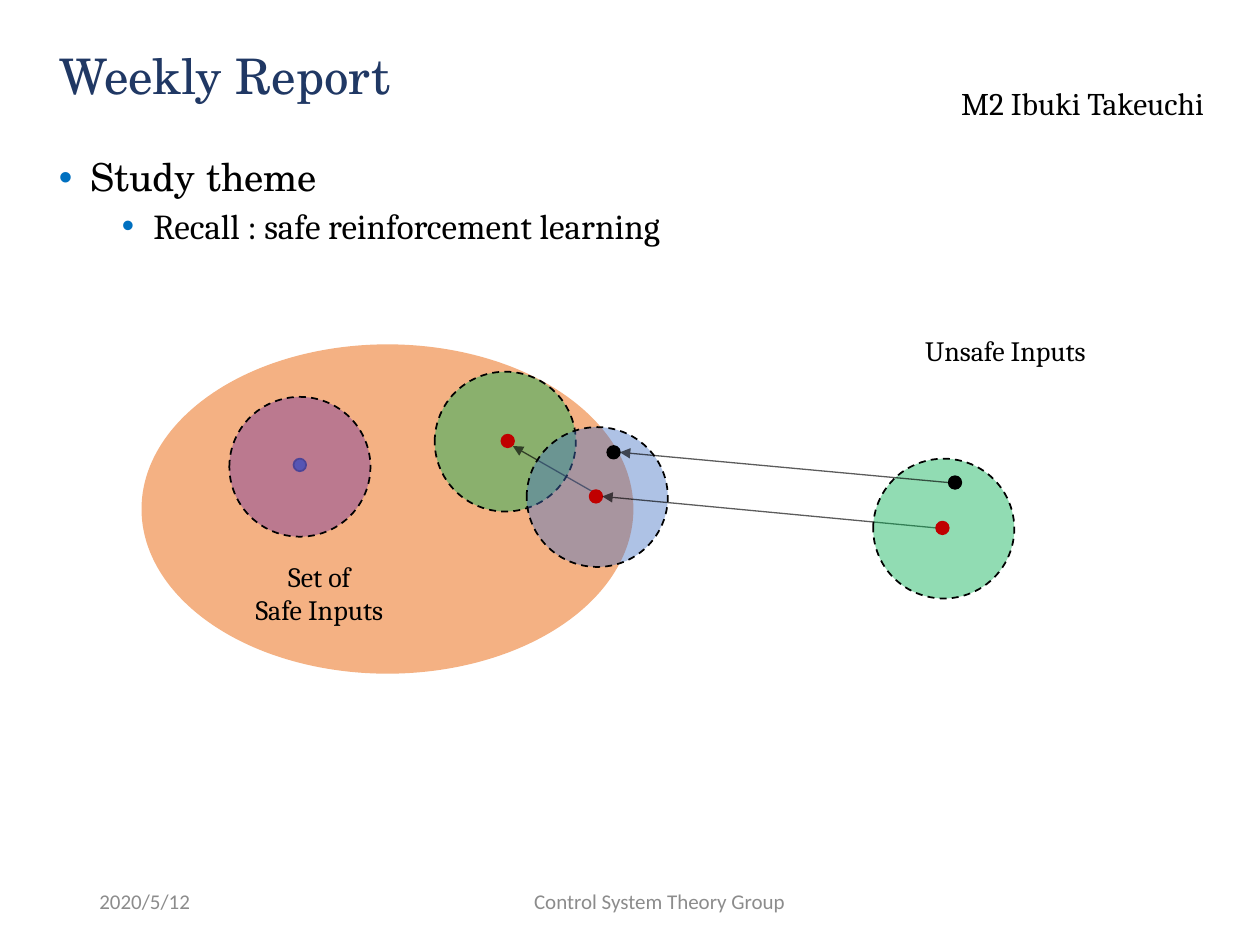
from lxml import etree
from pptx import Presentation
from pptx.dml.color import RGBColor
from pptx.enum.dml import MSO_LINE
from pptx.enum.shapes import MSO_CONNECTOR, MSO_SHAPE
from pptx.enum.text import MSO_ANCHOR, PP_ALIGN
from pptx.oxml.ns import qn
from pptx.util import Inches, Pt

LEFT, CENTER = PP_ALIGN.LEFT, PP_ALIGN.CENTER
TOP, MIDDLE = MSO_ANCHOR.TOP, MSO_ANCHOR.MIDDLE
ELLIPSE, STRAIGHT, DASH = MSO_SHAPE.OVAL, MSO_CONNECTOR.STRAIGHT, MSO_LINE.DASH
TITLE_ONLY = 5
SERIF, DISPLAY, SANS = "Cambria", "TeX Gyre Schola", "Calibri"
BLACK, RED, BLUE, GREEN, PURPLE = "000000", "C00000", "4472C4", "00B050", "7030A0"
ORANGE, NAVY, GREY, BULLET = "F4B183", "203864", "8C8C8C", "0070C0"
ZONE_WIDTH, ZONE_HEIGHT, DOT = 1.12, 1.11, 0.1


def color(value):
    """Turn a hex string into a colour."""
    return RGBColor.from_string(value)


def set_alpha(fill, percent):
    """Make a solid fill partly transparent."""
    node = fill._xPr.find(qn("a:solidFill"))[0]
    etree.SubElement(node, qn("a:alpha"), val=str(percent * 1000))


def format_para(para, text, size=16, font=SERIF, ink=BLACK, align=LEFT):
    """Write text into a paragraph with its format."""
    para.text = text
    para.alignment = align
    para.font.size = Pt(size)
    para.font.name = font
    para.font.color.rgb = color(ink)


def add_text(page, bounds, text, anchor=TOP, wrap=False, **style):
    """Add a text box with one paragraph per line of text."""
    box = page.shapes.add_textbox(*map(Inches, bounds))
    frame = box.text_frame
    frame.word_wrap = wrap
    frame.vertical_anchor = anchor
    for index, line in enumerate(text.split("\n")):
        para = frame.add_paragraph() if index else frame.paragraphs[0]
        format_para(para, line, **style)
    return box


def add_bullet(para, indent):
    """Give a paragraph a blue bullet with a hanging indent."""
    props = para._p.get_or_add_pPr()
    props.set("marL", str(Inches(indent)))
    props.set("indent", str(Inches(-0.25)))
    tint = etree.SubElement(props, qn("a:buClr"))
    etree.SubElement(tint, qn("a:srgbClr"), val=BULLET)
    etree.SubElement(props, qn("a:buFont"), typeface="Arial")
    etree.SubElement(props, qn("a:buChar"), char="•")


def add_ellipse(page, bounds, fill, line, alpha=None, dash=None):
    """Add an ellipse with a one-point outline."""
    shape = page.shapes.add_shape(ELLIPSE, *map(Inches, bounds))
    shape.shadow.inherit = False
    shape.fill.solid()
    shape.fill.fore_color.rgb = color(fill)
    shape.line.color.rgb = color(line)
    shape.line.width = Pt(1)
    if alpha:
        set_alpha(shape.fill, alpha)
    if dash:
        shape.line.dash_style = dash


def add_zone(page, left, top, fill):
    """Add a translucent, dashed neighbourhood circle."""
    add_ellipse(page, (left, top, ZONE_WIDTH, ZONE_HEIGHT), fill, BLACK, 43, DASH)


def add_dot(page, left, top, fill, line=None):
    """Add a small point."""
    add_ellipse(page, (left, top, DOT, DOT), fill, line or fill)


def add_arrow(page, start, end):
    """Add a thin translucent arrow from start to end."""
    arrow = page.shapes.add_connector(STRAIGHT, *map(Inches, (*start, *end)))
    arrow.line.color.rgb = color(BLACK)
    arrow.line.width = Pt(0.75)
    set_alpha(arrow.line.fill, 63)
    etree.SubElement(arrow.line._get_or_add_ln(), qn("a:tailEnd"), type="triangle")
    etree.SubElement(arrow._element.spPr, qn("a:effectLst"))


def place_title(page, bounds):
    """Place and format the title placeholder."""
    title = page.shapes.title
    title.left, title.top, title.width, title.height = map(Inches, bounds)
    title.text_frame.vertical_anchor = MIDDLE
    para = title.text_frame.paragraphs[0]
    format_para(para, "Weekly Report", size=28, font=DISPLAY, ink=NAVY)
    para.line_spacing = 0.9


def place_body(page, bounds):
    """Place the bulleted outline."""
    text = "Study theme\nRecall : safe reinforcement learning"
    box = add_text(page, bounds, text, wrap=True)
    theme, recall = box.text_frame.paragraphs
    for para, indent, size, font in ((theme, 0.25, 22, DISPLAY), (recall, 0.75, 20, SERIF)):
        add_bullet(para, indent)
        para.line_spacing = 0.9
        para.font.size = Pt(size)
        para.font.name = font
    recall.level = 1
    recall.space_before = Pt(5)


def place_diagram(page, bounds):
    """Draw the safe set, its neighbourhoods and the projected inputs."""
    left, top, width, height = bounds

    def at(right, down):
        return left + right, top + down

    add_ellipse(page, (left, top, width, height), ORANGE, ORANGE)
    add_text(page, (*at(0.77, 1.65), 1.27, 0.81), "Set of\nSafe Inputs", align=CENTER)
    add_zone(page, *at(2.32, 0.21), GREEN)
    add_arrow(page, at(3.57, 1.16), at(2.94, 0.8))
    add_dot(page, *at(2.85, 0.71), RED)
    add_zone(page, *at(3.05, 0.65), BLUE)
    add_dot(page, *at(3.55, 1.15), RED)
    add_dot(page, *at(1.2, 0.9), BLUE, "325491")
    add_arrow(page, at(6.3, 1.45), at(3.65, 1.2))
    add_zone(page, *at(5.8, 0.9), GREEN)
    add_dot(page, *at(6.3, 1.4), RED)
    add_text(page, (*at(6.09, -0.14), 1.52, 0.37), "Unsafe Inputs", align=CENTER)
    add_zone(page, *at(0.69, 0.41), PURPLE)
    add_dot(page, *at(6.4, 1.04), BLACK)
    add_arrow(page, at(6.4, 1.09), at(3.79, 0.85))
    add_dot(page, *at(3.69, 0.8), BLACK)


def place_footer(page, top, height):
    """Place the date and the group name."""
    style = dict(anchor=MIDDLE, wrap=True, size=12, font=SANS, ink=GREY)
    add_text(page, (0.69, top, 2.25, height), "2020/5/12", **style)
    add_text(page, (3.31, top, 3.85, height), "Control System Theory Group", align=CENTER, **style)


def main():
    """Build and save the deck."""
    deck = Presentation()
    deck.slide_width, deck.slide_height = Inches(10), Inches(7.5)
    page = deck.slides.add_slide(deck.slide_layouts[TITLE_ONLY])
    add_text(page, (7.53, 0.62, 2.19, 0.4), "M2 Ibuki Takeuchi", size=18)
    place_body(page, (0.37, 1.21, 9.27, 5.47))
    place_footer(page, 6.95, 0.4)
    place_title(page, (0.37, 0.3, 9.27, 0.64))
    place_diagram(page, (1.13, 2.74, 3.89, 2.6))
    deck.save("out.pptx")


if __name__ == "__main__":
    main()
